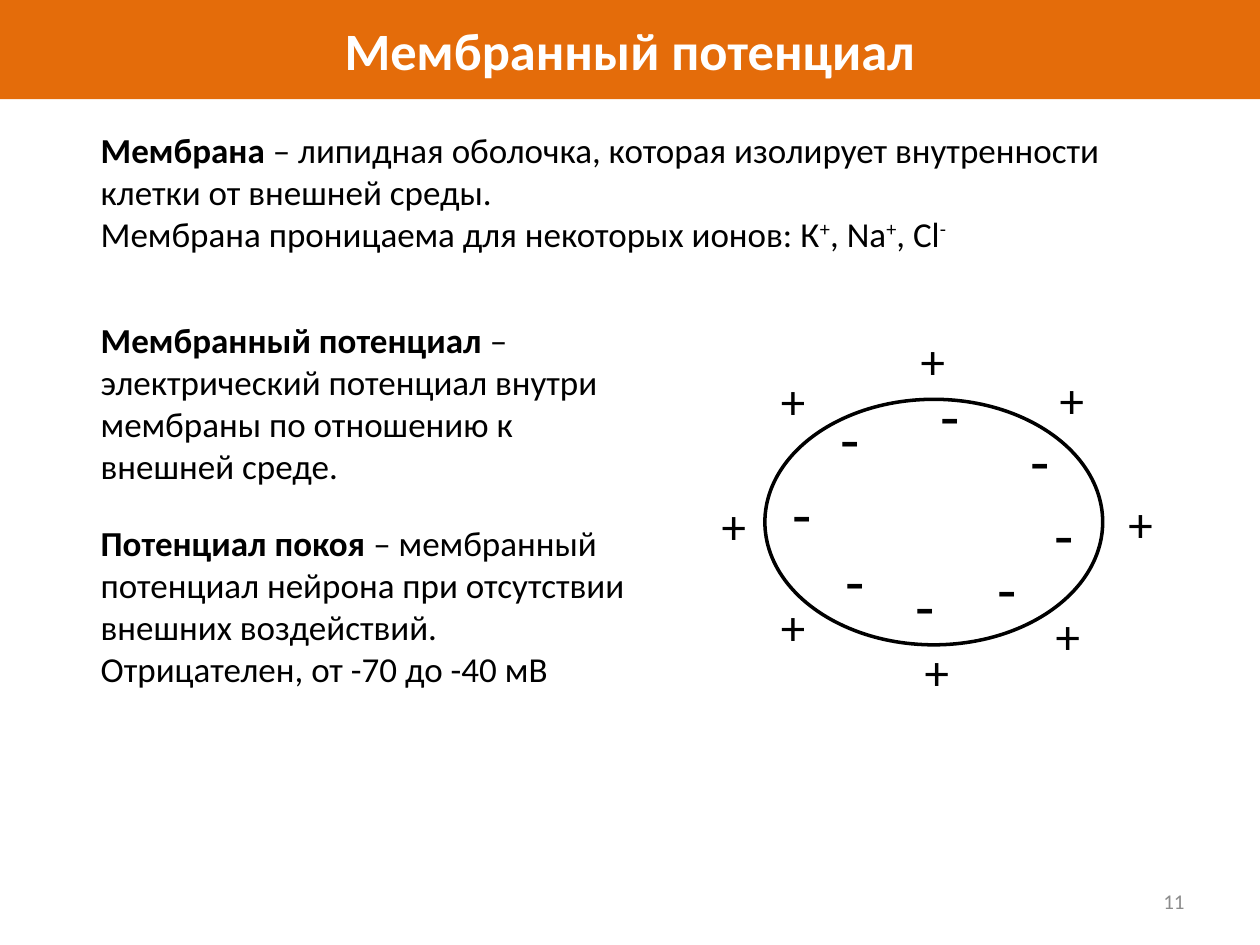
from dataclasses import dataclass

from pptx import Presentation
from pptx.dml.color import RGBColor
from pptx.enum.shapes import MSO_SHAPE as Shape
from pptx.enum.text import MSO_ANCHOR as Anchor, PP_ALIGN as Align
from pptx.util import Cm, Pt

COLORS = {"banner": "E46C0A", "white": "FFFFFF", "black": "000000", "gray": "8C8C8C"}
FONT = "Calibri"


@dataclass(frozen=True)
class Span:
    text: str
    bold: bool = False
    superscript: bool = False


@dataclass(frozen=True)
class Box:
    left: float
    top: float
    width: float
    height: float

    def lengths(self) -> tuple:
        return tuple(Cm(value) for value in (self.left, self.top, self.width, self.height))


@dataclass(frozen=True)
class Definition:
    box: Box
    paragraphs: list[list[Span]]


@dataclass(frozen=True)
class Charge:
    sign: str
    size: int
    height: float
    positions: list[tuple[float, float]]


DEFINITIONS = [
    Definition(Box(0.51, 2.46, 22.6, 2.82), [
        [Span("Мембрана", bold=True),
         Span(" – липидная оболочка, которая изолирует внутренности клетки от внешней среды.")],
        [Span("Мембрана проницаема для некоторых ионов: К"), Span("+", superscript=True),
         Span(", Na"), Span("+", superscript=True),
         Span(", Cl"), Span("-", superscript=True)],
    ]),
    Definition(Box(0.51, 6.3, 12.7, 3.68), [
        [Span("Мембранный потенциал", bold=True),
         Span(" – электрический потенциал внутри мембраны по отношению к внешней среде.")],
    ]),
    Definition(Box(0.51, 10.39, 12.7, 3.68), [
        [Span("Потенциал покоя", bold=True),
         Span(" – мембранный потенциал нейрона при отсутствии внешних воздействий. "
              "Отрицателен, от -70 до -40 мВ")],
    ]),
]
CELL = Box(15.42, 8.05, 6.81, 4.95)
CHARGE_WIDTH = 1.35
CHARGES = [
    Charge("-", 36, 1.8, [(15.72, 9.45), (16.69, 7.92), (18.72, 7.47), (20.52, 8.38),
                          (21.01, 9.86), (19.86, 10.95), (18.21, 11.3), (16.79, 10.8)]),
    Charge("+", 28, 1.45, [(15.49, 7.34), (18.31, 6.53), (21.11, 7.32), (22.5, 9.83),
                           (21.03, 12.09), (18.39, 12.8), (15.49, 11.91), (14.3, 9.86)]),
]


def color(name: str) -> RGBColor:
    return RGBColor.from_string(COLORS[name])


def write(shape, paragraphs: list[list[Span]], size: int, ink: str = "black",
          align=Align.LEFT, anchor=Anchor.TOP, indent: float = 0) -> None:
    frame = shape.text_frame
    frame.word_wrap = True
    frame.vertical_anchor = anchor
    for index, spans in enumerate(paragraphs):
        paragraph = frame.add_paragraph() if index else frame.paragraphs[0]
        paragraph.alignment = align
        if indent:
            properties = paragraph._p.get_or_add_pPr()
            properties.set("marL", str(Cm(indent)))
            properties.set("indent", "0")
        for span in spans:
            run = paragraph.add_run()
            run.text = span.text
            run.font.name = FONT
            run.font.size = Pt(size)
            run.font.bold = span.bold
            run.font.color.rgb = color(ink)
            if span.superscript:
                run.font._element.set("baseline", "30000")


def draw_banner(slide, title: str) -> None:
    banner = slide.shapes.add_shape(Shape.RECTANGLE, *Box(0, 0, 25.4, 2).lengths())
    banner.shadow.inherit = False
    banner.fill.solid()
    banner.fill.fore_color.rgb = color("banner")
    banner.line.fill.background()
    write(banner, [[Span(title, bold=True)]], 30, "white", Align.CENTER, Anchor.MIDDLE)


def draw_cell(slide) -> None:
    group = slide.shapes.add_group_shape()
    membrane = group.shapes.add_shape(Shape.OVAL, *CELL.lengths())
    membrane.shadow.inherit = False
    membrane.fill.background()
    membrane.line.color.rgb = color("black")
    membrane.line.width = Pt(2)
    for charge in CHARGES:
        for left, top in charge.positions:
            box = Box(left, top, CHARGE_WIDTH, charge.height)
            write(group.shapes.add_textbox(*box.lengths()), [[Span(charge.sign)]], charge.size)


def main() -> None:
    """Build the membrane potential slide."""
    presentation = Presentation()
    presentation.slide_width, presentation.slide_height = Cm(25.4), Cm(19.05)
    slide = presentation.slides.add_slide(presentation.slide_layouts[6])
    draw_banner(slide, "Мембранный потенциал")
    number = slide.shapes.add_textbox(*Box(18.2, 17.66, 5.93, 1.01).lengths())
    write(number, [[Span("11")]], 12, "gray", Align.RIGHT, Anchor.MIDDLE)
    draw_cell(slide)
    for definition in DEFINITIONS:
        text_box = slide.shapes.add_textbox(*definition.box.lengths())
        write(text_box, definition.paragraphs, 20, indent=1.27)
    presentation.save("out.pptx")


if __name__ == "__main__":
    main()
